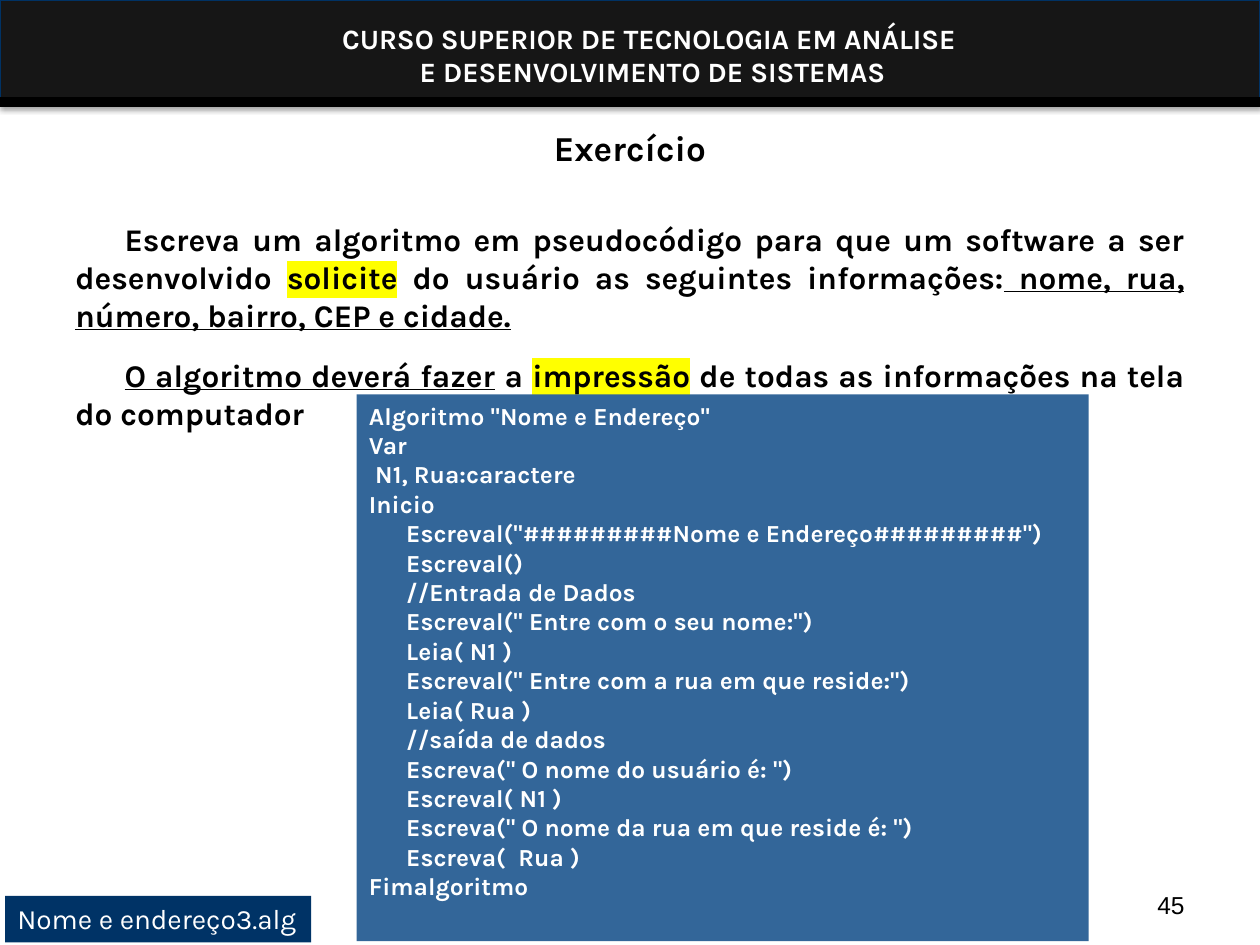
"""Build the exercise slide with its pseudocode answer."""
from lxml.etree import SubElement
from pptx import Presentation
from pptx.dml.color import RGBColor
from pptx.enum.shapes import MSO_CONNECTOR as Connector, MSO_SHAPE as Shape
from pptx.enum.text import MSO_ANCHOR as Anchor, MSO_AUTO_SIZE as AutoSize, PP_ALIGN as Align
from pptx.oxml import parse_xml
from pptx.oxml.ns import nsdecls, qn
from pptx.util import Inches, Pt


def color(value):
    return RGBColor.from_string(value)


def add_run(paragraph, text, size, ink, bold=False, font="Karla", underline=None, highlight=None):
    run = paragraph.add_run()
    run.text = text
    run.font.size = Pt(size)
    run.font.bold = bold
    run.font.underline = underline
    run.font.color.rgb = color(ink)
    if highlight:
        mark = parse_xml(f'<a:highlight {nsdecls("a")}><a:srgbClr val="{highlight}"/></a:highlight>')
        run.font._element.find(qn("a:solidFill")).addnext(mark)
    run.font.name = font


presentation = Presentation()
presentation.slide_width = Inches(10)
presentation.slide_height = Inches(7.5)
slide = presentation.slides.add_slide(presentation.slide_layouts[6])
shapes = slide.shapes

banner = shapes.add_shape(Shape.RECTANGLE, 0, 0, Inches(10), Inches(0.84))
banner.fill.solid()
banner.fill.fore_color.rgb = color("161616")
banner.line.color.rgb = color("003264")
banner.line.width = Pt(0.75)
banner.shadow.inherit = False
effects = banner._element.spPr.find(qn("a:effectLst"))
effects.append(parse_xml(
    f'<a:outerShdw {nsdecls("a")} blurRad="{Pt(3.1)}" dist="{Pt(1.8)}" dir="5400000" rotWithShape="0">'
    '<a:srgbClr val="000000"><a:alpha val="35000"/></a:srgbClr></a:outerShdw>'))

course = shapes.add_textbox(Inches(1.3), Inches(0.12), Inches(7.76), Inches(0.64)).text_frame
course.word_wrap = True
course.auto_size = AutoSize.SHAPE_TO_FIT_TEXT
course_lines = ["CURSO SUPERIOR DE TECNOLOGIA EM ANÁLISE ", "E DESENVOLVIMENTO DE SISTEMAS"]
for index, text in enumerate(course_lines):
    paragraph = course.add_paragraph() if index else course.paragraphs[0]
    paragraph.alignment = Align.CENTER
    add_run(paragraph, text, 16, "FFFFFF", bold=True)

rule = shapes.add_connector(Connector.STRAIGHT, 0, Inches(0.81), Inches(10), Inches(0.81))
rule.line.color.rgb = color("000000")
rule.line.width = Pt(6)
SubElement(rule._element.spPr, qn("a:effectLst"))

title = shapes.add_textbox(Inches(0.5), Inches(0.42), Inches(9), Inches(1.5)).text_frame
title.word_wrap = True
title.vertical_anchor = Anchor.MIDDLE
title.paragraphs[0].alignment = Align.CENTER
add_run(title.paragraphs[0], "Exercício", 20, "000000", bold=True)

body = shapes.add_textbox(Inches(0.5), Inches(1.7), Inches(9), Inches(5.04)).text_frame
body.word_wrap = True
tasks = [
    [("Escreva um algoritmo em pseudocódigo para que um software a ser desenvolvido ", {}),
     ("solicite", {"highlight": "FFFF00"}),
     (" do usuário as seguintes informações:", {}),
     (" nome, rua, número, bairro, CEP e cidade.", {"underline": True})],
    [("O algoritmo deverá fazer", {"underline": True}),
     (" a ", {}),
     ("impressão", {"highlight": "FFFF00"}),
     (" de todas as informações na tela do computador", {})],
]
for index, task in enumerate(tasks):
    paragraph = body.add_paragraph() if index else body.paragraphs[0]
    paragraph.alignment = Align.JUSTIFY
    paragraph.space_before = Pt(3.6 if index else 0)
    paragraph.space_after = Pt(9)
    paragraph._p.get_or_add_pPr().set("indent", str(Inches(0.39)))
    for text, style in task:
        add_run(paragraph, text, 18, "000000", bold=True, **style)

number = shapes.add_textbox(Inches(7.17), Inches(6.83), Inches(2.33), Inches(0.52)).text_frame
number.word_wrap = True
number.vertical_anchor = Anchor.BOTTOM
number.paragraphs[0].alignment = Align.RIGHT
add_run(number.paragraphs[0], "45", 14, "000000", font="Arial")

code_lines = [
    'Algoritmo "Nome e Endereço"',
    "Var",
    " N1, Rua:caractere",
    "Inicio",
    '      Escreval("#########Nome e Endereço#########")',
    "      Escreval()",
    "      //Entrada de Dados",
    '      Escreval(" Entre com o seu nome:")',
    "      Leia( N1 )",
    '      Escreval(" Entre com a rua em que reside:")',
    "      Leia( Rua )",
    "      //saída de dados",
    '      Escreva(" O nome do usuário é: ")',
    "      Escreval( N1 )",
    '      Escreva(" O nome da rua em que reside é: ")',
    "      Escreva(  Rua )",
    "Fimalgoritmo",
]
panels = [
    (0.04, 7.11, 2.43, 0.37, "003366", ["Nome e endereço3.alg"], 16, False, False),
    (2.83, 3.13, 5.81, 4.34, "336699", code_lines, 14, True, True),
]
for left, top, width, height, fill, lines, size, bold, wrap in panels:
    panel = shapes.add_shape(Shape.RECTANGLE, Inches(left), Inches(top), Inches(width), Inches(height))
    panel.fill.solid()
    panel.fill.fore_color.rgb = color(fill)
    panel.line.fill.background()
    panel.shadow.inherit = False
    frame = panel.text_frame
    frame.word_wrap = wrap
    frame.auto_size = AutoSize.SHAPE_TO_FIT_TEXT
    frame.vertical_anchor = Anchor.TOP
    for index, text in enumerate(lines):
        paragraph = frame.add_paragraph() if index else frame.paragraphs[0]
        paragraph.alignment = Align.LEFT
        add_run(paragraph, text, size, "FFFFFF", bold=bold)

presentation.save("out.pptx")
